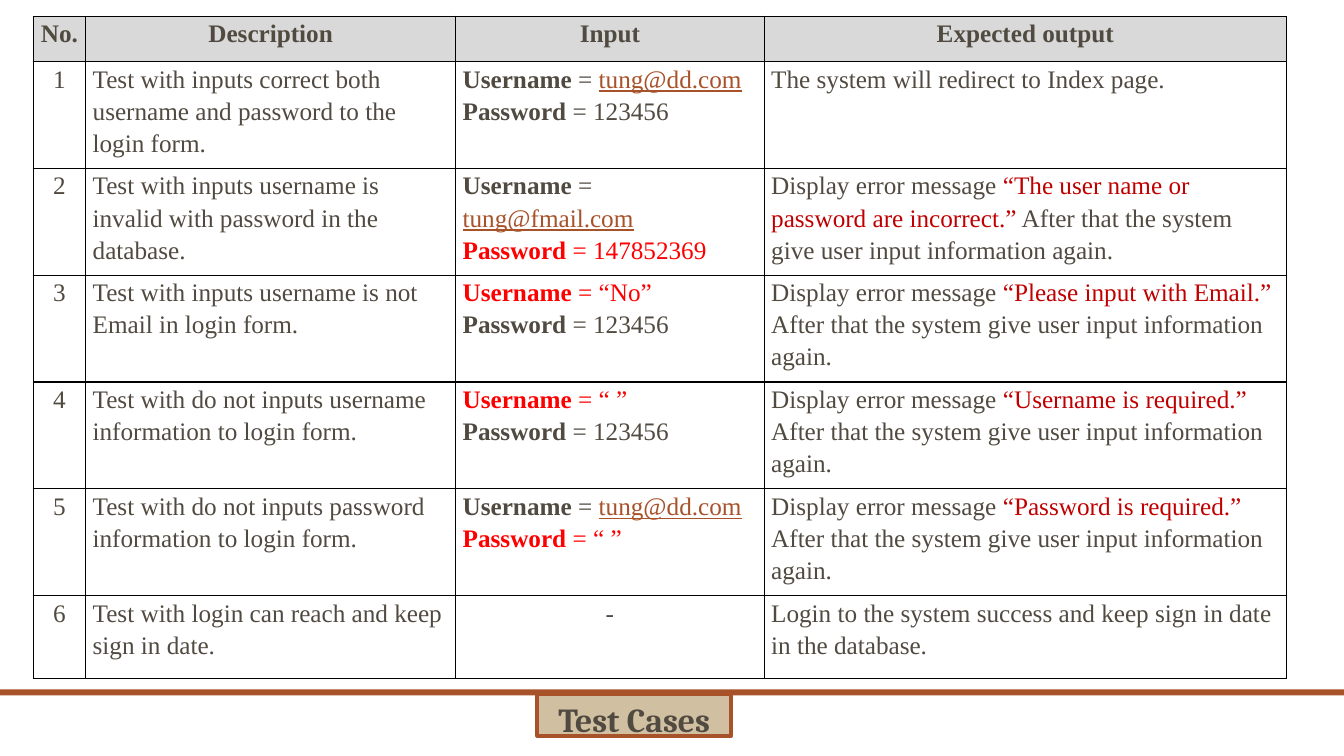
from lxml import etree
from pptx import Presentation
from pptx.dml.color import RGBColor
from pptx.enum.shapes import MSO_SHAPE as Shape
from pptx.enum.text import MSO_ANCHOR as Anchor, PP_ALIGN as Align
from pptx.oxml.ns import qn
from pptx.util import Inches, Pt

COLORS = {
    "text": "514A40", "accent": "A85229", "tan": "D0C0A1", "header": "D9D9D9",
    "wrong": "FF0000", "message": "C00000", "border": "000000",
}

# Content: a cell is a list of paragraphs, a paragraph a list of (text, color, style)
TITLE = "Test Cases"
HEADERS = ["No.", "Description", "Input", "Expected output"]


def field(name, value, color="text"):
    return [(name, color, "bold"), (f" = {value}", color, "")]


def email(address):
    return [("Username", "text", "bold"), (" = ", "text", ""),
            (address, "accent", "underline")]


def plain(text):
    return [[(text, "text", "")]]


def error(message):
    return [[("Display error message ", "text", ""),
             (f"“{message}”", "message", ""),
             (" After that the system give user input information again.", "text", "")]]


VALID_PASSWORD = field("Password", "123456")
CASES = [
    ("Test with inputs correct both username and password to the login form.",
     [email("tung@dd.com"), VALID_PASSWORD],
     plain("The system will redirect to Index page.")),
    ("Test with inputs username is invalid with password in the database.",
     [email("tung@fmail.com"), field("Password", "147852369", "wrong")],
     error("The user name or password are incorrect.")),
    ("Test with inputs username is not Email in login form.",
     [field("Username", "“No”", "wrong"), VALID_PASSWORD],
     error("Please input with Email.")),
    ("Test with do not inputs username information to login form.",
     [field("Username", "“ ”", "wrong"), VALID_PASSWORD],
     error("Username is required.")),
    ("Test with do not inputs password information to login form.",
     [email("tung@dd.com"), field("Password", "“ ”", "wrong")],
     error("Password is required.")),
    ("Test with login can reach and keep sign in date.",
     plain("-"),
     plain("Login to the system success and keep sign in date in the database.")),
]
COLUMN_WIDTHS = [0.52, 3.67, 3.06, 5.18]
ROW_HEIGHTS = [0.45] + [1.06] * 5 + [0.82]


def rgb(name):
    return RGBColor.from_string(COLORS[name])


def add_span(para, text, color, style, size=18, font="Times New Roman"):
    span = para.add_run()
    span.text = text
    span.font.name = font
    span.font.size = Pt(size)
    span.font.bold = style == "bold"
    span.font.underline = style == "underline"
    span.font.color.rgb = rgb(color)


def add_box(slide, left, top, width, height, fill):
    box = slide.shapes.add_shape(
        Shape.RECTANGLE, Inches(left), Inches(top), Inches(width), Inches(height))
    box.shadow.inherit = False
    box.fill.solid()
    box.fill.fore_color.rgb = rgb(fill)
    box.line.fill.background()
    return box


def add_borders(cell):
    properties = cell._tc.get_or_add_tcPr()
    for position, side in enumerate(("a:lnL", "a:lnR", "a:lnT", "a:lnB")):
        line = etree.Element(qn(side), w=str(Pt(1)))
        fill = etree.SubElement(line, qn("a:solidFill"))
        etree.SubElement(fill, qn("a:srgbClr"), val=COLORS["border"])
        properties.insert(position, line)


def fill_cell(cell, paragraphs, centered, header):
    cell.margin_left = cell.margin_right = Inches(0.07)
    cell.margin_top = cell.margin_bottom = 0
    if header:
        cell.fill.solid()
        cell.fill.fore_color.rgb = rgb("header")
    else:
        cell.fill.background()
    add_borders(cell)
    frame = cell.text_frame
    for index, spans in enumerate(paragraphs):
        para = frame.add_paragraph() if index else frame.paragraphs[0]
        para.alignment = Align.CENTER if centered else Align.LEFT
        para.line_spacing = 1.15
        for span in spans:
            add_span(para, *span)


def main():
    deck = Presentation()
    deck.slide_width, deck.slide_height = Inches(13.33), Inches(7.5)
    slide = deck.slides.add_slide(deck.slide_layouts[6])

    # Footer bar and title tab
    add_box(slide, 0, 6.84, 13.33, 0.06, "accent")
    tab = add_box(slide, 5.33, 6.88, 1.92, 0.42, "tan")
    tab.line.color.rgb = rgb("accent")
    tab.line.width = Pt(3)
    tab.text_frame.word_wrap = True
    tab.text_frame.vertical_anchor = Anchor.TOP
    title = tab.text_frame.paragraphs[0]
    title.alignment = Align.CENTER
    add_span(title, TITLE, "text", "bold", 24, "Cambria")

    # Test case table
    rows = [[[[(name, "text", "bold")]] for name in HEADERS]]
    for number, (description, inputs, output) in enumerate(CASES, 1):
        rows.append([plain(str(number)), plain(description), inputs, output])
    table = slide.shapes.add_table(
        len(rows), len(HEADERS), Inches(0.33), Inches(0.16),
        Inches(sum(COLUMN_WIDTHS)), Inches(sum(ROW_HEIGHTS))).table
    table.first_row = table.horz_banding = False
    for column, width in zip(table.columns, COLUMN_WIDTHS):
        column.width = Inches(width)
    for r, (row, height) in enumerate(zip(rows, ROW_HEIGHTS)):
        table.rows[r].height = Inches(height)
        for c, paragraphs in enumerate(row):
            centered = r == 0 or c == 0 or paragraphs == plain("-")
            fill_cell(table.cell(r, c), paragraphs, centered, r == 0)

    deck.save("out.pptx")


if __name__ == "__main__":
    main()
